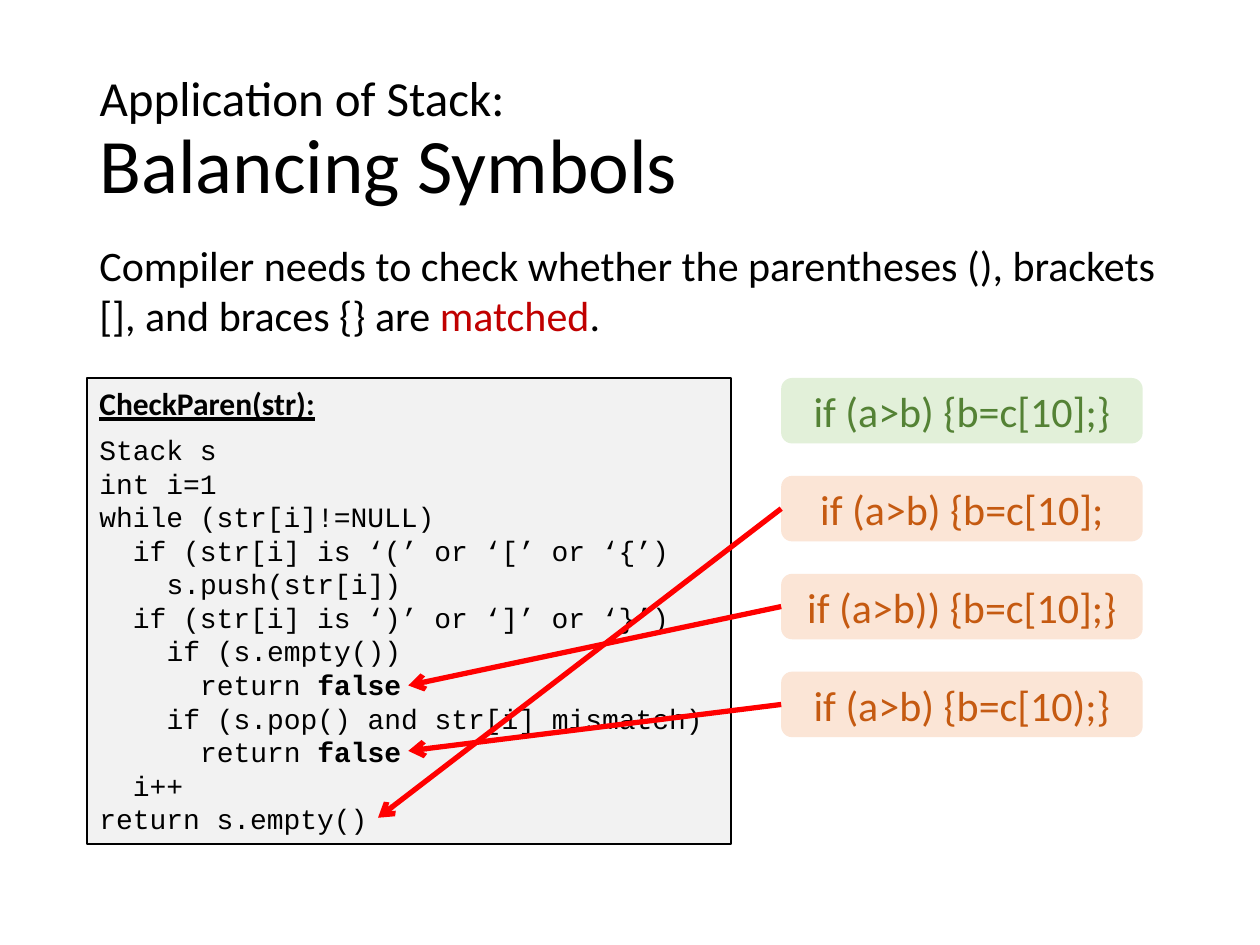
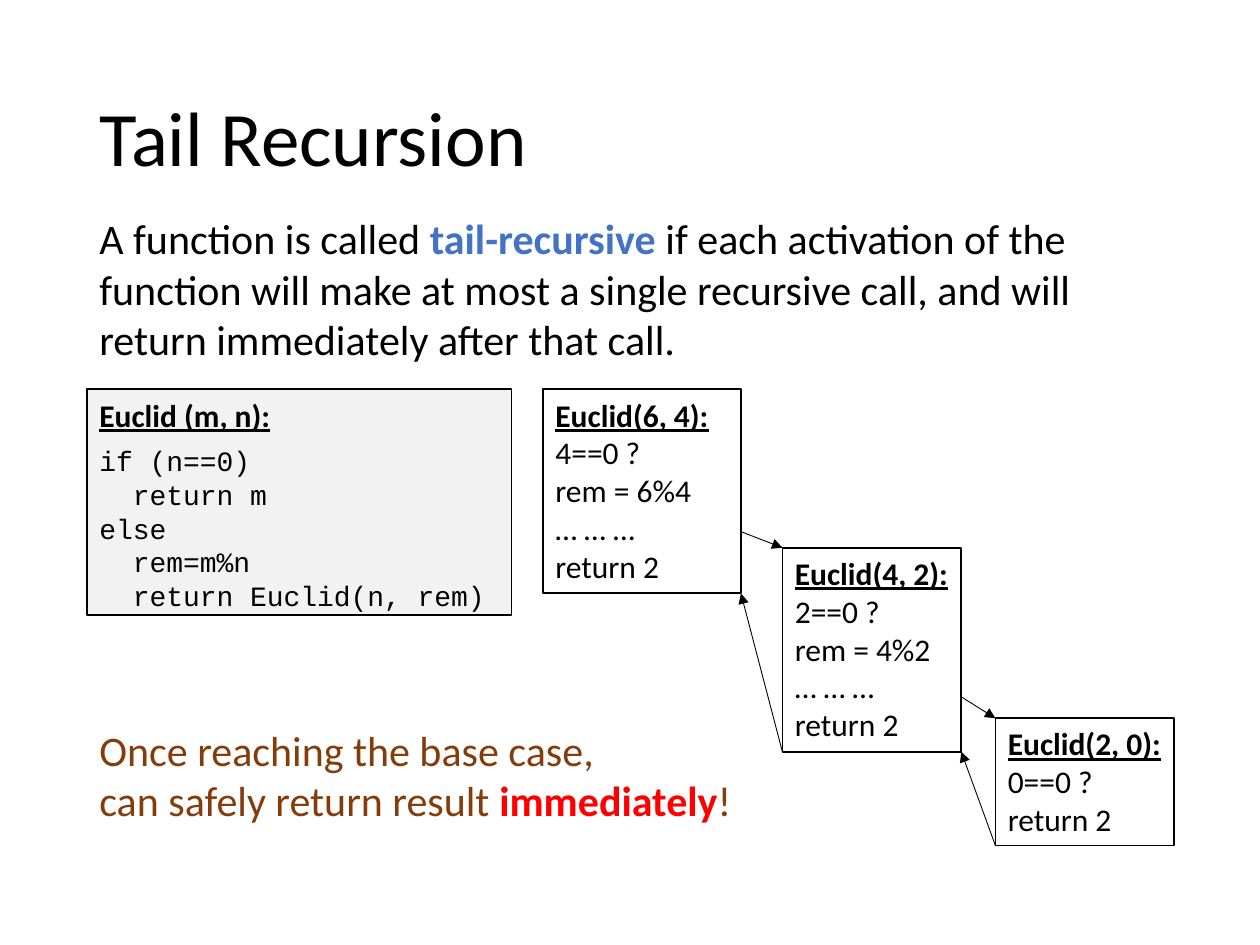
from copy import deepcopy
from dataclasses import dataclass
from itertools import pairwise

from lxml.etree import SubElement
from pptx import Presentation
from pptx.dml.color import RGBColor
from pptx.enum.shapes import MSO_CONNECTOR, MSO_SHAPE
from pptx.enum.text import MSO_ANCHOR, MSO_AUTO_SIZE, PP_ALIGN
from pptx.oxml.ns import qn
from pptx.util import Pt


@dataclass(frozen=True)
class Theme:
    font: str = "Calibri"
    code_font: str = "Courier New"
    title_size: int = 44
    kicker_size: int = 28
    body_size: int = 24
    label_size: int = 18
    code_size: int = 16
    code_char: float = 9.6  # advance of one code character
    ink: str = "000000"
    paper: str = "FFFFFF"
    code_fill: str = "F2F2F2"
    good_fill: str = "E2F0D9"
    good_ink: str = "548235"
    bad_fill: str = "FBE5D6"
    bad_ink: str = "C55A11"
    dark_red: str = "C00000"
    red: str = "FF0000"
    blue: str = "4472C4"
    brown: str = "843C0B"


@dataclass(frozen=True)
class Span:
    text: str
    color: str = None
    size: int = None
    bold: bool = False
    underline: bool = False


@dataclass(frozen=True)
class Frame:
    """One activation of a function; call_y is where its recursive call leaves."""
    left: float
    top: float
    width: float
    height: float
    heading: str
    steps: tuple
    call_y: float = 0

    @property
    def right(self):
        return self.left + self.width

    @property
    def bottom(self):
        return self.top + self.height


T = Theme()
LEFT, WIDTH = 49.68, 620.64

CHECK_PAREN = """\
Stack s
int i=1
while (str[i]!=NULL)
  if (str[i] is ‘(’ or ‘[’ or ‘{’)
    s.push(str[i])
  if (str[i] is ‘)’ or ‘]’ or ‘}’)
    if (s.empty())
      return *false
    if (s.pop() and str[i] mismatch)
      return *false
  i++
return s.empty()"""

EUCLID = """\
if (n==0)
  return m
else
  rem=m%n
  return Euclid(n, rem)"""


def rgb(color):
    return RGBColor.from_string(color)


def write(p, spans, size, color=T.ink, font=T.font):
    """Fill a paragraph with spans; a newline in a span is a line break."""
    for span in spans:
        for i, text in enumerate(span.text.split("\n")):
            if i:
                p.add_line_break()
                p._p[-1].append(deepcopy(r._r.rPr))
            if not text:
                continue
            r = p.add_run()
            r.text = text
            r.font.name = font
            r.font.size = Pt(span.size or size)
            r.font.bold = span.bold
            r.font.underline = span.underline
            r.font.color.rgb = rgb(span.color or color)


def add_title(slide, *spans):
    sp = slide.shapes.title
    sp.left, sp.top, sp.width, sp.height = Pt(LEFT), Pt(28.8), Pt(WIDTH), Pt(104.4)
    tf = sp.text_frame
    tf.auto_size = MSO_AUTO_SIZE.NONE
    tf.vertical_anchor = MSO_ANCHOR.MIDDLE
    p = tf.paragraphs[0]
    p.alignment = PP_ALIGN.LEFT
    p.line_spacing = 0.9
    write(p, spans, T.title_size)


def add_text(slide, top, width, height, spans, color=T.ink, wrap=True):
    sp = slide.shapes.add_textbox(Pt(LEFT), Pt(top), Pt(width), Pt(height))
    tf = sp.text_frame
    tf.word_wrap = wrap
    tf.auto_size = MSO_AUTO_SIZE.SHAPE_TO_FIT_TEXT
    write(tf.paragraphs[0], spans, T.body_size, color)


def add_box(slide, left, top, width, height, fill, outlined=True,
            kind=MSO_SHAPE.RECTANGLE, anchor=MSO_ANCHOR.TOP):
    """Add a filled shape and return its text frame."""
    sp = slide.shapes.add_shape(kind, Pt(left), Pt(top), Pt(width), Pt(height))
    sp.shadow.inherit = False
    sp.fill.solid()
    sp.fill.fore_color.rgb = rgb(fill)
    if outlined:
        sp.line.color.rgb = rgb(T.ink)
        sp.line.width = Pt(1)
    else:
        sp.line.fill.background()
    tf = sp.text_frame
    tf.word_wrap = True
    tf.vertical_anchor = anchor
    return tf


def write_heading(tf, heading):
    p = tf.paragraphs[0]
    p.alignment = PP_ALIGN.LEFT
    write(p, [Span(heading, bold=True, underline=True)], T.label_size)
    return p


def add_code(slide, top, width, height, heading, code):
    """Add a listing; leading spaces become indents and * starts bold text."""
    tf = add_box(slide, LEFT, top, width, height, T.code_fill)
    write_heading(tf, heading).space_after = Pt(6)
    for line in code.splitlines():
        text = line.lstrip()
        plain, _, strong = text.partition("*")
        p = tf.add_paragraph()
        p.alignment = PP_ALIGN.LEFT
        indent = Pt(T.code_char * (len(line) - len(text)))
        p._p.get_or_add_pPr().set("marL", str(indent))
        write(p, [Span(plain), Span(strong, bold=True)], T.code_size,
              font=T.code_font)


def add_example(slide, left, top, width, height, text, fill, color):
    tf = add_box(slide, left, top, width, height, fill, outlined=False,
                 kind=MSO_SHAPE.ROUNDED_RECTANGLE, anchor=MSO_ANCHOR.MIDDLE)
    p = tf.paragraphs[0]
    p.alignment = PP_ALIGN.CENTER
    write(p, [Span(text)], T.body_size, color)


def add_frame(slide, frame):
    tf = add_box(slide, frame.left, frame.top, frame.width, frame.height, T.paper)
    tf.auto_size = MSO_AUTO_SIZE.SHAPE_TO_FIT_TEXT
    write_heading(tf, frame.heading)
    for step in frame.steps:
        p = tf.add_paragraph()
        p.alignment = PP_ALIGN.LEFT
        write(p, [Span(step)], T.label_size)


def add_arrow(slide, start, end, color=T.ink, width=0.5, head="triangle"):
    points = [Pt(v) for v in (*start, *end)]
    line = slide.shapes.add_connector(MSO_CONNECTOR.STRAIGHT, *points)
    line.line.color.rgb = rgb(color)
    line.line.width = Pt(width)
    SubElement(line.line._get_or_add_ln(), qn("a:tailEnd"), type=head)
    SubElement(line._element.spPr, qn("a:effectLst"))


def build_balancing(slide):
    add_title(slide, Span("Application of Stack:\n", size=T.kicker_size),
              Span("Balancing Symbols"))
    add_text(slide, 133.2, WIDTH, 65.5, [
        Span("Compiler needs to check whether the parentheses (), brackets [], "
             "and braces {} are "),
        Span("matched", T.dark_red), Span(".")])
    add_code(slide, 216, 367.9, 266.4, "CheckParen(str):", CHECK_PAREN)

    left, top, width, height, pitch = 446.4, 216, 206.6, 37.4, 55.95
    examples = [
        ("if (a>b) {b=c[10];}", None),
        ("if (a>b) {b=c[10];", (216, 467.3)),
        ("if (a>b)) {b=c[10];}", (233.3, 391.7)),
        ("if (a>b) {b=c[10);}", (233.3, 429.1)),
    ]
    for i, (text, failing_line) in enumerate(examples):
        y = top + i * pitch
        fill, color = ((T.bad_fill, T.bad_ink) if failing_line
                       else (T.good_fill, T.good_ink))
        add_example(slide, left, y, width, height, text, fill, color)
        if failing_line:
            add_arrow(slide, (left, y + height / 2), failing_line,
                      T.red, 3, "arrow")


def build_tail_recursion(slide):
    add_title(slide, Span("Tail Recursion"))
    add_code(slide, 222.5, 242.7, 128.9, "Euclid (m, n):", EUCLID)

    frames = [
        Frame(310.3, 222.5, 113.1, 116.6, "Euclid(6, 4):",
              ("4==0 ?", "rem = 6%4", "… … …", "return 2"), 303.8),
        Frame(447.1, 313.0, 102.2, 116.6, "Euclid(4, 2):",
              ("2==0 ?", "rem = 4%2", "… … …", "return 2"), 398.2),
        Frame(568.8, 410.4, 102.2, 72.7, "Euclid(2, 0):",
              ("0==0 ?", "return 2")),
    ]
    for frame in frames:
        add_frame(slide, frame)
    for caller, callee in pairwise(frames):
        add_arrow(slide, (caller.right, caller.call_y), (callee.left, callee.top))
        add_arrow(slide, (callee.left, callee.bottom), (caller.right, caller.bottom))

    add_text(slide, 118.1, WIDTH, 94.3, [
        Span("A function is called "),
        Span("tail-recursive", T.blue, bold=True),
        Span(" if each activation of the function will make at most a single "
             "recursive call, and will return immediately after that call.")])
    add_text(slide, 410.4, 375.8, 65.5, [
        Span("Once reaching the base case,\ncan safely return result "),
        Span("immediately", T.red, bold=True), Span("!")], T.brown, wrap=False)


def main():
    prs = Presentation()
    prs.slide_width, prs.slide_height = Pt(720), Pt(540)
    title_only = prs.slide_layouts[5]
    for build in (build_balancing, build_tail_recursion):
        build(prs.slides.add_slide(title_only))
    prs.save("out.pptx")


if __name__ == "__main__":
    main()
